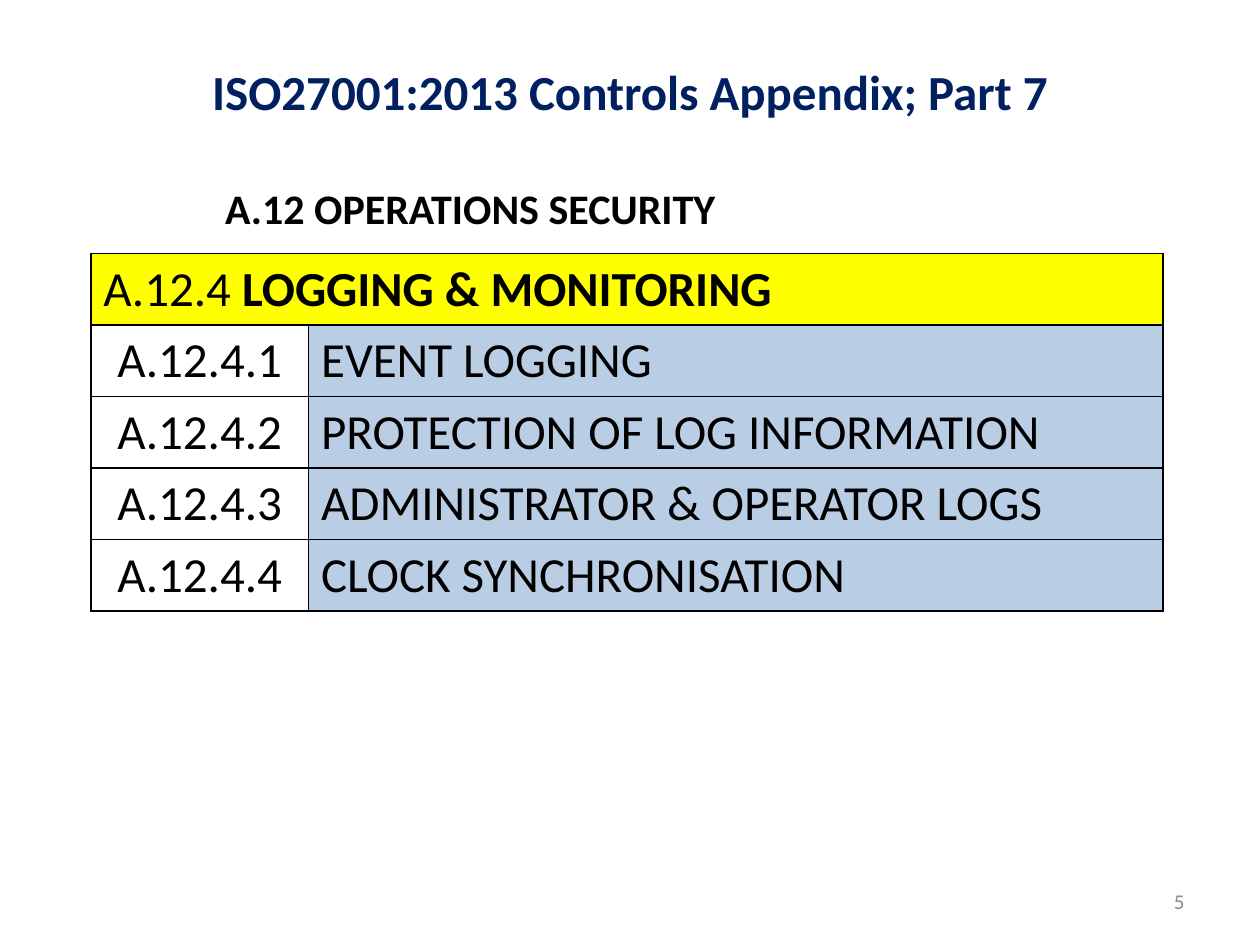
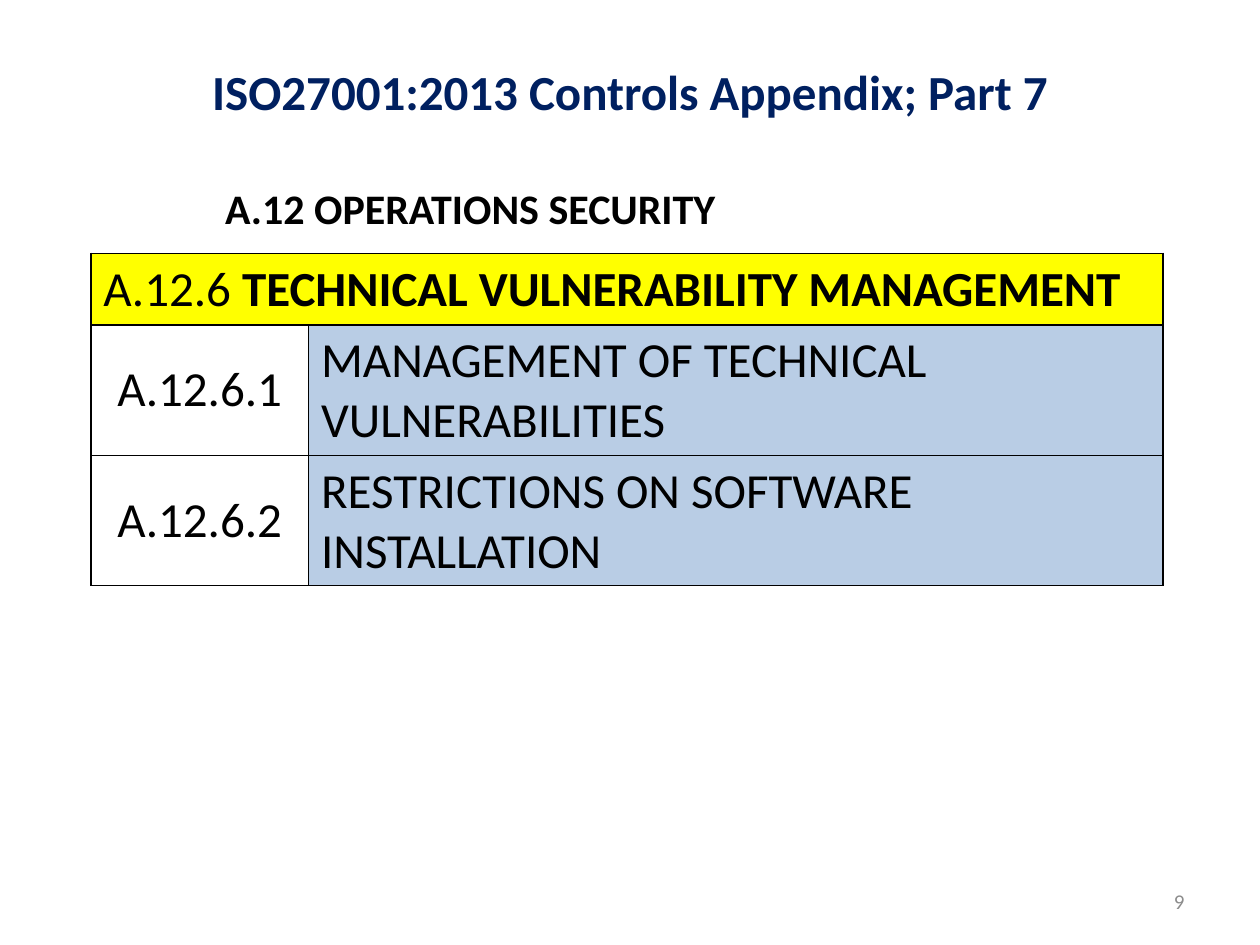
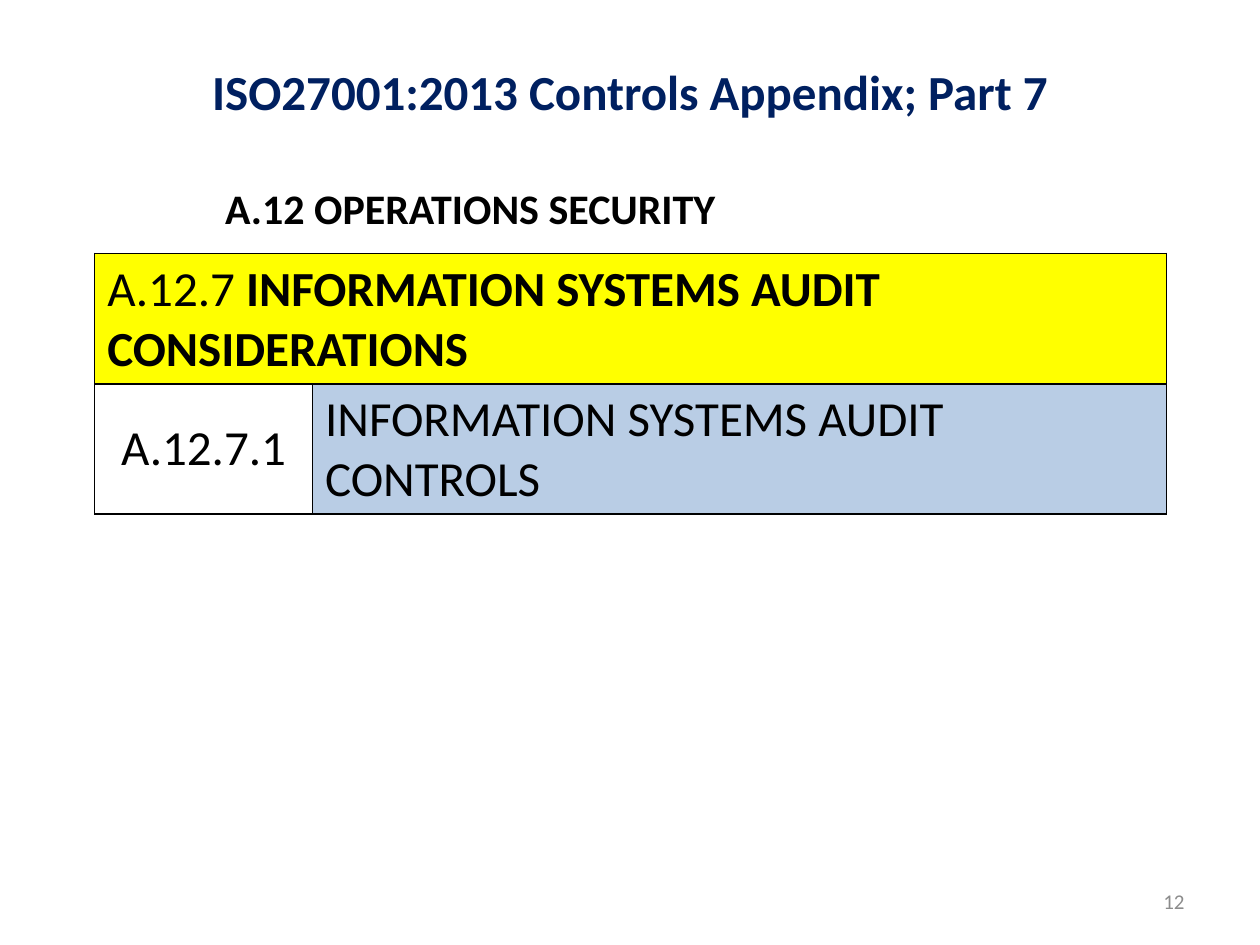
from lxml.etree import SubElement
from pptx import Presentation
from pptx.dml.color import RGBColor
from pptx.enum.text import MSO_ANCHOR, MSO_AUTO_SIZE, PP_ALIGN
from pptx.oxml.ns import qn
from pptx.util import Cm, Pt

NAVY, BLACK, GREY = "002060", "000000", "8C8C8C"
YELLOW, PALE_BLUE = "FFFF00", "B9CDE5"
TITLE = "ISO27001:2013 Controls Appendix; Part 7"
SECTION = "A.12 OPERATIONS SECURITY"
CODE_WIDTH, NAME_WIDTH = 4.39, 17.22
ROW_HEIGHT, EXTRA_LINE = 1.44, 1.18

# page number, table left, control group, group name, lines in its heading,
# control names, lines in each control row
SLIDES = [
    (5, 1.83, "A.12.4", "LOGGING & MONITORING", 1,
     ["EVENT LOGGING", "PROTECTION OF LOG INFORMATION",
      "ADMINISTRATOR & OPERATOR LOGS", "CLOCK SYNCHRONISATION"], 1),
    (9, 1.83, "A.12.6", "TECHNICAL VULNERABILITY MANAGEMENT", 1,
     ["MANAGEMENT OF TECHNICAL VULNERABILITIES",
      "RESTRICTIONS ON SOFTWARE INSTALLATION"], 2),
    (12, 1.91, "A.12.7", "INFORMATION SYSTEMS AUDIT CONSIDERATIONS", 2,
     ["INFORMATION SYSTEMS AUDIT CONTROLS"], 2),
]


def format_text(p, size, color, bold=False, align=PP_ALIGN.LEFT):
    p.alignment = align
    for r in p.runs:
        r.font.name = "Calibri"
        r.font.size = Pt(size)
        r.font.bold = bold
        r.font.color.rgb = RGBColor.from_string(color)


def add_borders(cell):
    tcPr = cell._tc.get_or_add_tcPr()
    for side in ("a:lnL", "a:lnR", "a:lnT", "a:lnB"):
        ln = SubElement(tcPr, qn(side), w=str(Pt(1)))
        fill = SubElement(ln, qn("a:solidFill"))
        SubElement(fill, qn("a:srgbClr"), val=BLACK)


prs = Presentation()
prs.slide_width, prs.slide_height = Cm(25.4), Cm(19.05)

for page, left, group, group_name, heading_lines, controls, row_lines in SLIDES:
    s = prs.slides.add_slide(prs.slide_layouts[5])

    title = s.shapes.title
    title.left, title.top = Cm(1.27), Cm(0.58)
    title.width, title.height = Cm(22.86), Cm(2.49)
    tf = title.text_frame
    tf.text = TITLE
    tf.vertical_anchor = MSO_ANCHOR.MIDDLE
    format_text(tf.paragraphs[0], 28, NAVY, True, PP_ALIGN.CENTER)

    tf = s.shapes.add_textbox(Cm(4.29), Cm(3.56), Cm(10.49), Cm(1.27)).text_frame
    tf.text = SECTION
    tf.word_wrap = False
    tf.auto_size = MSO_AUTO_SIZE.SHAPE_TO_FIT_TEXT
    format_text(tf.paragraphs[0], 24, BLACK, True)

    tf = s.shapes.add_textbox(Cm(18.2), Cm(17.65), Cm(5.93), Cm(1.02)).text_frame
    tf.text = str(page)
    tf.word_wrap = True
    tf.vertical_anchor = MSO_ANCHOR.MIDDLE
    format_text(tf.paragraphs[0], 12, GREY, align=PP_ALIGN.RIGHT)

    heights = [ROW_HEIGHT + EXTRA_LINE * (lines - 1)
               for lines in [heading_lines] + [row_lines] * len(controls)]
    table = s.shapes.add_table(len(heights), 2, Cm(left), Cm(5.11),
                               Cm(CODE_WIDTH + NAME_WIDTH), Cm(sum(heights))).table
    table.first_row = table.horz_banding = False
    table.columns[0].width, table.columns[1].width = Cm(CODE_WIDTH), Cm(NAME_WIDTH)
    for row, height in zip(table.rows, heights):
        row.height = Cm(height)
    for cell in table.iter_cells():
        add_borders(cell)

    heading = table.cell(0, 0)
    heading.merge(table.cell(0, 1))
    heading.fill.solid()
    heading.fill.fore_color.rgb = RGBColor.from_string(YELLOW)
    p = heading.text_frame.paragraphs[0]
    p.add_run().text = f"{group} "
    p.add_run().text = group_name
    format_text(p, 28, BLACK)
    p.runs[1].font.bold = True

    for i, control in enumerate(controls, start=1):
        code, name = table.cell(i, 0), table.cell(i, 1)
        code.text_frame.text = f"{group}.{i}"
        name.text_frame.text = control
        code.vertical_anchor = name.vertical_anchor = MSO_ANCHOR.MIDDLE
        code.fill.background()
        name.fill.solid()
        name.fill.fore_color.rgb = RGBColor.from_string(PALE_BLUE)
        format_text(code.text_frame.paragraphs[0], 28, BLACK, align=PP_ALIGN.CENTER)
        format_text(name.text_frame.paragraphs[0], 28, BLACK)

prs.save("out.pptx")
